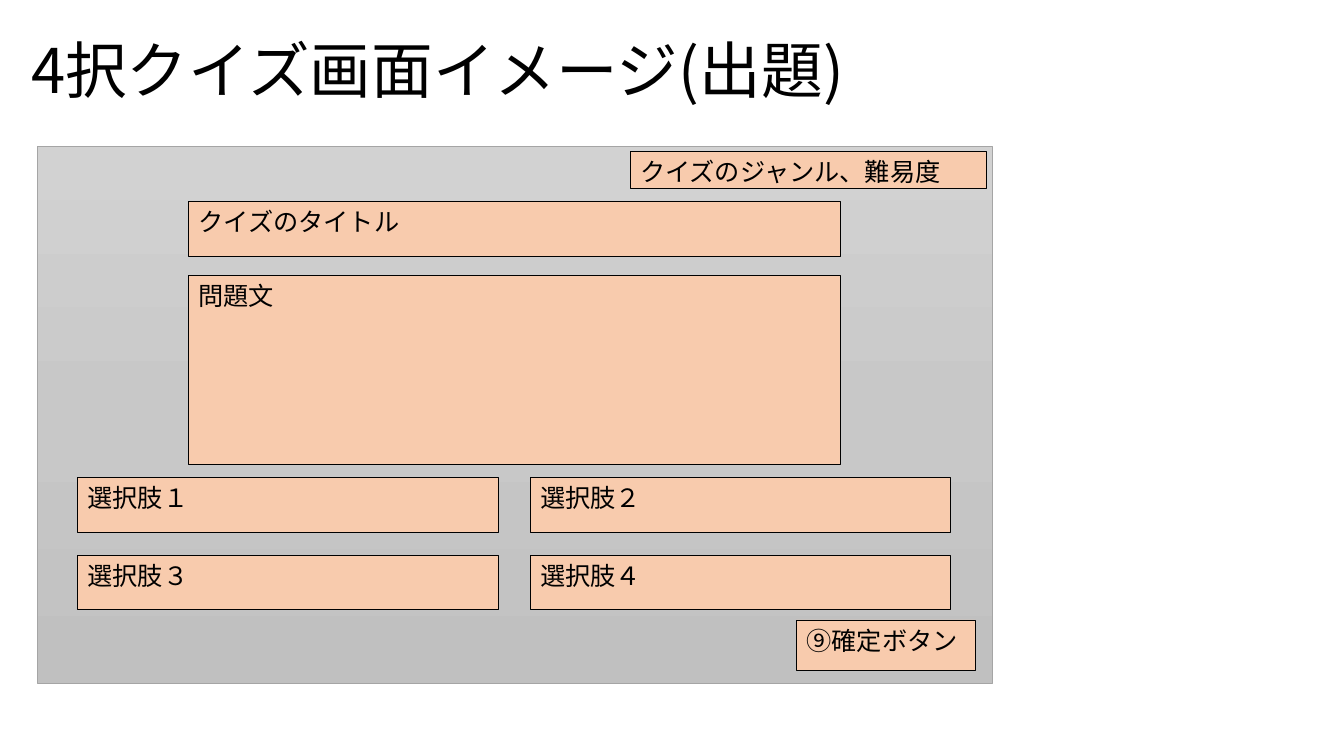
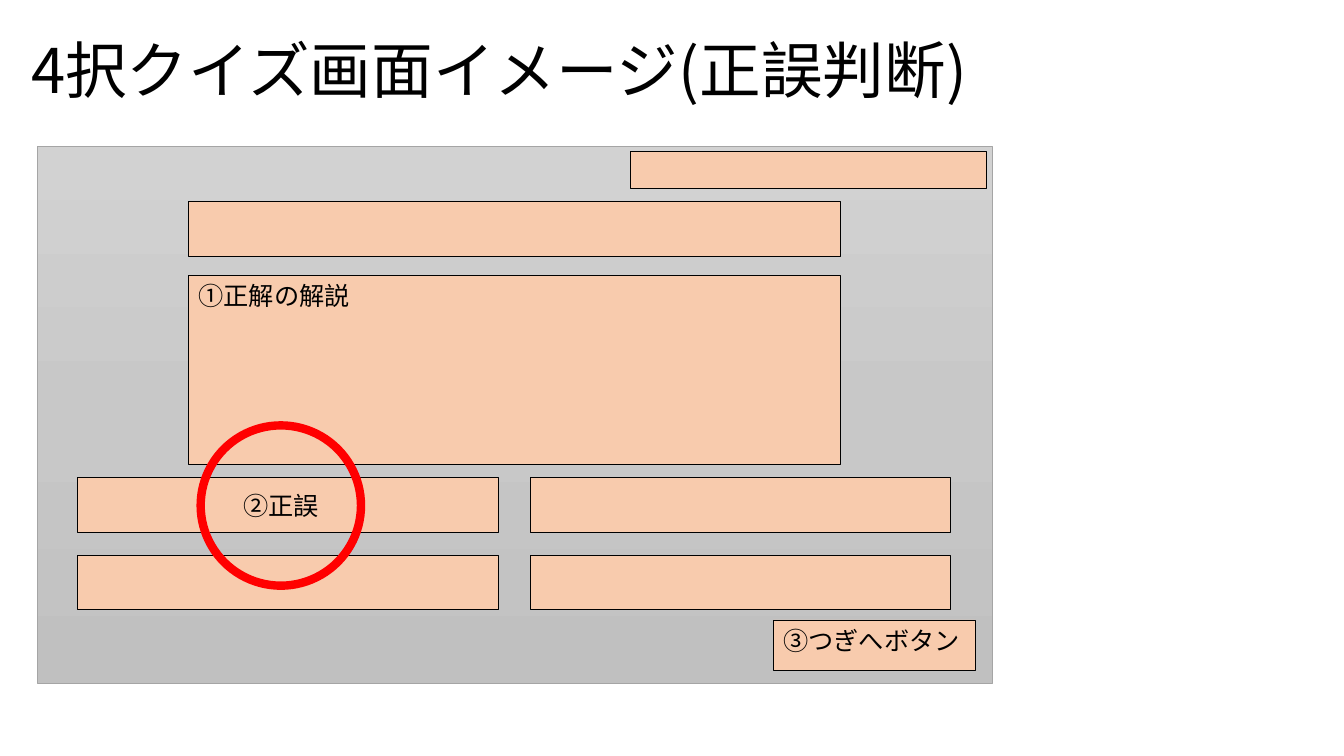
from copy import deepcopy
from dataclasses import dataclass

from lxml import etree
from pptx import Presentation
from pptx.dml.color import RGBColor
from pptx.enum.shapes import MSO_SHAPE
from pptx.enum.text import MSO_ANCHOR, PP_ALIGN
from pptx.oxml.ns import qn
from pptx.shapes.autoshape import Shape
from pptx.slide import Slide
from pptx.text.text import TextFrame
from pptx.util import Inches, Pt

RECTANGLE, OVAL = MSO_SHAPE.RECTANGLE, MSO_SHAPE.OVAL
TOP, MIDDLE = MSO_ANCHOR.TOP, MSO_ANCHOR.MIDDLE
LEFT, CENTER = PP_ALIGN.LEFT, PP_ALIGN.CENTER

FONT = "Noto Sans CJK JP"
BLACK, PEACH, GRAY, RED = "000000", "F8CBAD", "A5A5A5", "FF0000"
SCREEN_GRADIENT = ((0, "D2D2D2"), (0.5, "C8C8C8"), (1, "C0C0C0"))
TITLE_SIZE, LABEL_SIZE = 44, 18
BLANK_LAYOUT = 6


@dataclass(frozen=True)
class Box:
    left: float
    top: float
    width: float
    height: float

    def inches(self) -> tuple[int, int, int, int]:
        return (Inches(self.left), Inches(self.top),
                Inches(self.width), Inches(self.height))


@dataclass(frozen=True)
class QuizScreen:
    title: str
    button: str
    button_width: float
    body: str
    genre: str = ""
    heading: str = ""
    choices: tuple[str, ...] = ("", "", "", "")
    verdict: str = ""


TITLE_BOX = Box(0.21, 0, 11.5, 1.45)
SCREEN_BOX = Box(0.37, 1.45, 9.47, 5.33)
GENRE_BOX = Box(6.25, 1.5, 3.53, 0.37)
HEADING_BOX = Box(1.87, 2, 6.47, 0.54)
BODY_BOX = Box(1.87, 2.73, 6.47, 1.88)
VERDICT_BOX = Box(1.99, 4.22, 1.59, 1.59)
FIRST_CHOICE = Box(0.77, 4.74, 4.17, 0.54)
CHOICE_COLUMNS = 2
CHOICE_STEP_X, CHOICE_STEP_Y = 4.49, 0.77
BUTTON_RIGHT, BUTTON_TOP, BUTTON_HEIGHT = 9.67, 6.15, 0.5

SCREENS = (
    QuizScreen(
        title="4択クイズ画面イメージ(出題)",
        genre="クイズのジャンル、難易度",
        heading="クイズのタイトル",
        body="問題文",
        choices=("選択肢１", "選択肢２", "選択肢３", "選択肢４"),
        button="⑨確定ボタン",
        button_width=1.77,
    ),
    QuizScreen(
        title="4択クイズ画面イメージ(正誤判断)",
        body="①正解の解説",
        verdict="②正誤",
        button="③つぎへボタン",
        button_width=2,
    ),
)


def rgb(value: str) -> RGBColor:
    return RGBColor.from_string(value)


def write(frame: TextFrame, text: str, size: float,
          anchor: MSO_ANCHOR = TOP, align: PP_ALIGN = LEFT) -> None:
    frame.word_wrap = True
    frame.vertical_anchor = anchor
    paragraph = frame.paragraphs[0]
    paragraph.text = text
    paragraph.alignment = align
    font = paragraph.font
    font.size = Pt(size)
    font.color.rgb = rgb(BLACK)
    font.name = FONT
    # East Asian glyphs take their typeface from a:ea.
    defaults = paragraph._p.pPr.find(qn("a:defRPr"))
    etree.SubElement(defaults, qn("a:ea"), typeface=FONT)


def add_outlined(slide: Slide, kind: MSO_SHAPE, box: Box,
                 line: str, weight: float) -> Shape:
    shape = slide.shapes.add_shape(kind, *box.inches())
    shape.shadow.inherit = False
    shape.line.color.rgb = rgb(line)
    shape.line.width = Pt(weight)
    return shape


def add_title(slide: Slide, text: str) -> None:
    frame = slide.shapes.add_textbox(*TITLE_BOX.inches()).text_frame
    write(frame, text, TITLE_SIZE, MIDDLE)
    frame.paragraphs[0].line_spacing = 0.9


def add_screen(slide: Slide) -> None:
    """Draw the gray screen with its three-stop vertical gradient."""
    screen = add_outlined(slide, RECTANGLE, SCREEN_BOX, GRAY, 0.5)
    screen.fill.gradient()
    screen.fill.gradient_angle = 270
    stop_list = screen._element.spPr.find(".//" + qn("a:gsLst"))
    stop_list.insert(1, deepcopy(stop_list[0]))
    for stop, (position, color) in zip(screen.fill.gradient_stops, SCREEN_GRADIENT):
        stop.position = position
        stop.color.rgb = rgb(color)


def add_panel(slide: Slide, box: Box, label: str) -> None:
    panel = add_outlined(slide, RECTANGLE, box, BLACK, 0.5)
    panel.fill.solid()
    panel.fill.fore_color.rgb = rgb(PEACH)
    if label:
        write(panel.text_frame, label, LABEL_SIZE)


def add_verdict(slide: Slide, label: str) -> None:
    ring = add_outlined(slide, OVAL, VERDICT_BOX, RED, 6)
    ring.fill.background()
    write(ring.text_frame, label, LABEL_SIZE, MIDDLE, CENTER)


def choice_box(index: int) -> Box:
    row, column = divmod(index, CHOICE_COLUMNS)
    return Box(FIRST_CHOICE.left + column * CHOICE_STEP_X,
               FIRST_CHOICE.top + row * CHOICE_STEP_Y,
               FIRST_CHOICE.width, FIRST_CHOICE.height)


def add_quiz_slide(slide: Slide, quiz: QuizScreen) -> None:
    add_title(slide, quiz.title)
    add_screen(slide)
    add_panel(slide, GENRE_BOX, quiz.genre)
    add_panel(slide, HEADING_BOX, quiz.heading)
    add_panel(slide, BODY_BOX, quiz.body)
    for index, choice in enumerate(quiz.choices):
        add_panel(slide, choice_box(index), choice)
    button_box = Box(BUTTON_RIGHT - quiz.button_width, BUTTON_TOP,
                     quiz.button_width, BUTTON_HEIGHT)
    add_panel(slide, button_box, quiz.button)
    if quiz.verdict:
        add_verdict(slide, quiz.verdict)


def main() -> None:
    deck = Presentation()
    deck.slide_width, deck.slide_height = Inches(13.33), Inches(7.5)
    for quiz in SCREENS:
        add_quiz_slide(deck.slides.add_slide(deck.slide_layouts[BLANK_LAYOUT]), quiz)
    deck.save("out.pptx")


if __name__ == "__main__":
    main()
